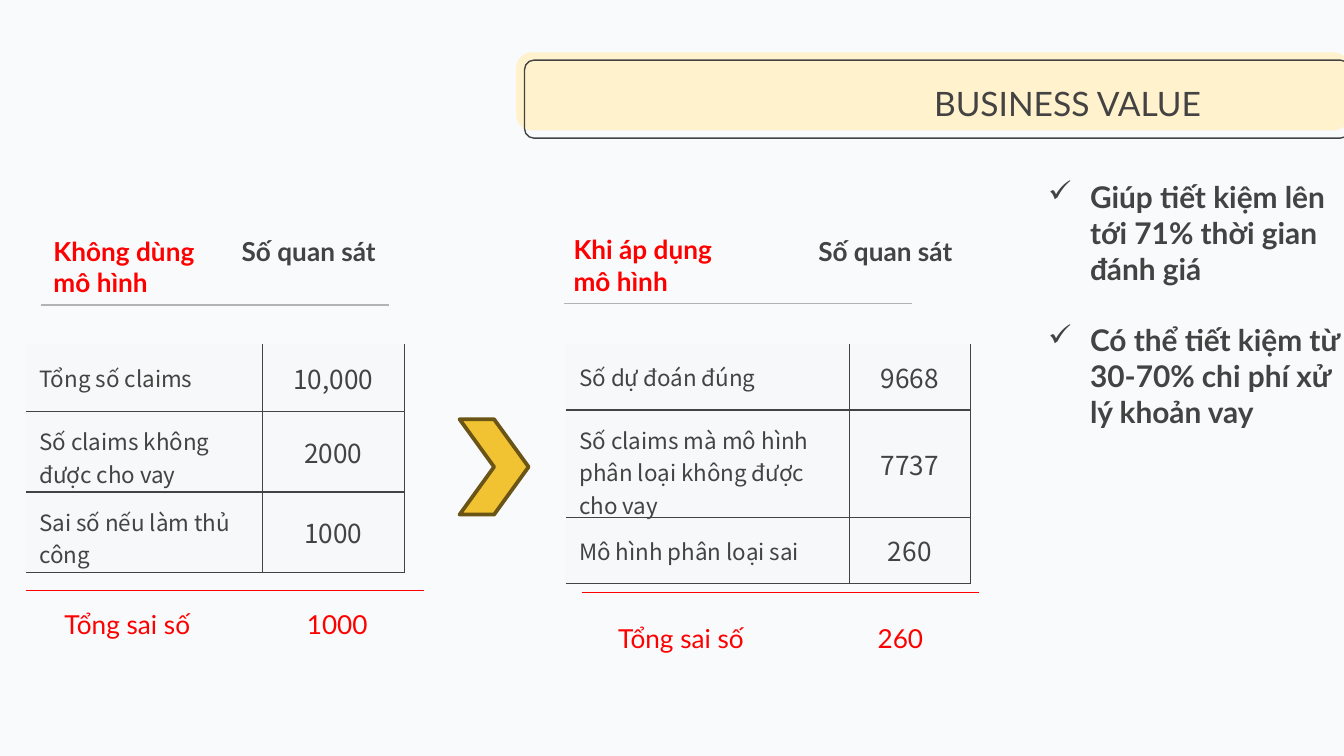
import pptx
import pptx.dml.color
import pptx.enum.shapes
import pptx.enum.text
import pptx.oxml
import pptx.oxml.ns
import pptx.oxml.xmlchemy
import pptx.util

Pt = pptx.util.Pt
RGBColor = pptx.dml.color.RGBColor
Shape = pptx.enum.shapes.MSO_SHAPE
Align = pptx.enum.text.PP_ALIGN
Anchor = pptx.enum.text.MSO_ANCHOR

BACKGROUND = RGBColor(0xF8, 0xFA, 0xFB)
INK = RGBColor(0x43, 0x43, 0x43)
RED = RGBColor(0xFF, 0x00, 0x00)
GREY = RGBColor(0xB3, 0xB3, 0xB3)
CREAM = RGBColor(0xFF, 0xF2, 0xCC)
GOLD = RGBColor(0xF1, 0xC2, 0x32)
BROWN = RGBColor(0x6A, 0x55, 0x16)
CELL = RGBColor(0xF3, 0xF3, 0xF3)
NAMESPACE = pptx.oxml.ns.nsdecls("a")


class Painter:
    font = "Lato"
    table_font = "Noto Sans CJK SC"
    inset = 7.2

    def __init__(self, page):
        self.page = page
        page.background.fill.solid()
        page.background.fill.fore_color.rgb = BACKGROUND

    def style(self, para, size, color, bold=False, font=None):
        for span in para.runs:
            span.font.name = font or self.font
            span.font.size = Pt(size)
            span.font.bold = bold
            span.font.color.rgb = color

    def shape(self, kind, area, fill=None, line=None, weight=0.75, adjust=None):
        shape = self.page.shapes.add_shape(kind, *map(Pt, area))
        shape.shadow.inherit = False
        if adjust is not None:
            shape.adjustments[0] = adjust
        if fill is None:
            shape.fill.background()
        else:
            shape.fill.solid()
            shape.fill.fore_color.rgb = fill
        if line is None:
            shape.line.fill.background()
        else:
            shape.line.color.rgb = line
            shape.line.width = Pt(weight)

    def text(self, content, area, size=14, color=INK, bold=False, align=Align.LEFT):
        box = self.page.shapes.add_textbox(*map(Pt, area))
        frame = box.text_frame
        frame.word_wrap = True
        frame.text = content
        for para in frame.paragraphs:
            para.alignment = align
            self.style(para, size, color, bold)
        return frame

    def title(self, content, area):
        frame = self.text(content, area, 18, align=Align.RIGHT)
        frame.vertical_anchor = Anchor.MIDDLE
        frame.margin_top = frame.margin_bottom = Pt(self.inset)
        frame.margin_right = Pt(16)

    def checklist(self, items, area):
        frame = self.text("\n".join(items), area, 16, bold=True)
        frame.margin_top = frame.margin_bottom = Pt(self.inset)
        for index, para in enumerate(frame.paragraphs):
            if index:
                para.space_before = Pt(19.2)
            properties = para._p.get_or_add_pPr()
            properties.set("marL", str(Pt(22.5)))
            properties.set("indent", str(-Pt(22.5)))
            for xml in (
                f'<a:buClr {NAMESPACE}><a:srgbClr val="{INK}"/></a:buClr>',
                f'<a:buChar {NAMESPACE} char="✓"/>',
            ):
                properties.append(pptx.oxml.parse_xml(xml))

    def rule(self, left, top, width, color):
        line = self.page.shapes.add_connector(
            pptx.enum.shapes.MSO_CONNECTOR.STRAIGHT,
            Pt(left), Pt(top), Pt(left + width), Pt(top))
        line.line.color.rgb = color
        line.line.width = Pt(0.75)
        line._element.spPr.append(pptx.oxml.parse_xml(f"<a:effectLst {NAMESPACE}/>"))

    def cell_look(self, cell, visible):
        cell.fill.solid()
        cell.fill.fore_color.rgb = CELL
        properties = cell._tc.get_or_add_tcPr()
        color = properties.find(".//" + pptx.oxml.ns.qn("a:srgbClr"))
        color.append(pptx.oxml.parse_xml(f'<a:alpha {NAMESPACE} val="18000"/>'))
        for position, side in enumerate("LRTB"):
            paint = "<a:noFill/>"
            if side in visible:
                paint = f'<a:solidFill><a:srgbClr val="{INK}"/></a:solidFill>'
            properties.insert(position, pptx.oxml.parse_xml(
                f'<a:ln{side} {NAMESPACE} w="{Pt(0.75)}">{paint}</a:ln{side}>'))

    def table(self, rows, area, widths, heights):
        frame = self.page.shapes.add_table(len(rows), len(widths), *map(Pt, area))
        table = frame.table
        table.first_row = table.horz_banding = False
        for column, width in zip(table.columns, widths):
            column.width = Pt(width)
        for row_index, (row, height) in enumerate(zip(rows, heights)):
            table.rows[row_index].height = Pt(height)
            for column_index, content in enumerate(row):
                cell = table.cell(row_index, column_index)
                cell.text = content
                cell.vertical_anchor = Anchor.MIDDLE
                cell.margin_left = cell.margin_right = Pt(self.inset)
                cell.margin_top = cell.margin_bottom = Pt(self.inset)
                para = cell.text_frame.paragraphs[0]
                para.alignment = Align.CENTER if column_index else Align.LEFT
                self.style(para, 14 if column_index else 12, INK, font=self.table_font)
                sides = ("L" if column_index else "") + "RB" + ("T" if row_index else "")
                self.cell_look(cell, sides)
        frame.height = Pt(area[3])

    def header(self, content, left, top, count_left, rule_left):
        self.text(content, (left, top, 100.8, 41), color=RED, bold=True)
        self.text("Số quan sát", (count_left, 122.4, 93.6, 24.5), bold=True)
        self.rule(rule_left, top + 41, 186.5, GREY)

    def total(self, value, rule_left, rule_top, label_left, value_left, top):
        self.rule(rule_left, rule_top, 213.1, RED)
        self.text("Tổng sai số", (label_left, top, 87.1, 24.5), color=RED)
        self.text(value, (value_left, top, 72, 24.5), color=RED, align=Align.CENTER)


def main():
    deck = pptx.Presentation()
    deck.slide_width, deck.slide_height = Pt(720), Pt(405)
    painter = Painter(deck.slides.add_slide(deck.slide_layouts[6]))

    painter.shape(Shape.ROUNDED_RECTANGLE, (276.5, 28, 446.4, 41.8), fill=CREAM, adjust=0.2)
    painter.shape(Shape.ROUNDED_RECTANGLE, (281, 32.2, 442, 41.8), line=INK, adjust=0.12)
    painter.title("BUSINESS VALUE", (408.2, 36, 251.3, 38.2))
    painter.checklist(
        ["Giúp tiết kiệm lên tới 71% thời gian đánh giá",
         "Có thể tiết kiệm từ 30-70% chi phí xử lý khoản vay"],
        (554.4, 88.6, 174.2, 200.2))

    painter.header("Không dùng mô hình", 21.6, 122.4, 122.4, 21.8)
    painter.table(
        [("Tổng số claims", "10,000"),
         ("Số claims không được cho vay", "2000"),
         ("Sai số nếu làm thủ công", "1000")],
        (13.8, 184.3, 203, 122.4), (126.7, 76.3), (36, 36, 36))
    painter.total("1000", 13.8, 316.4, 27.4, 144.7, 322.6)

    painter.shape(Shape.CHEVRON, (246.2, 224.6, 37, 51.1), fill=GOLD, line=BROWN, weight=2)

    painter.header("Khi áp dụng mô hình", 300.2, 121.7, 431.3, 302)
    painter.table(
        [("Số dự đoán đúng", "9668"),
         ("Số claims mà mô hình phân loại không được cho vay", "7737"),
         ("Mô hình phân loại sai", "260")],
        (303.1, 184.3, 216.7, 127.4), (151.9, 64.8), (35.3, 52.6, 35.3))
    painter.total("260", 311.6, 317.4, 324, 446.4, 329.8)

    deck.save("out.pptx")


if __name__ == "__main__":
    main()
